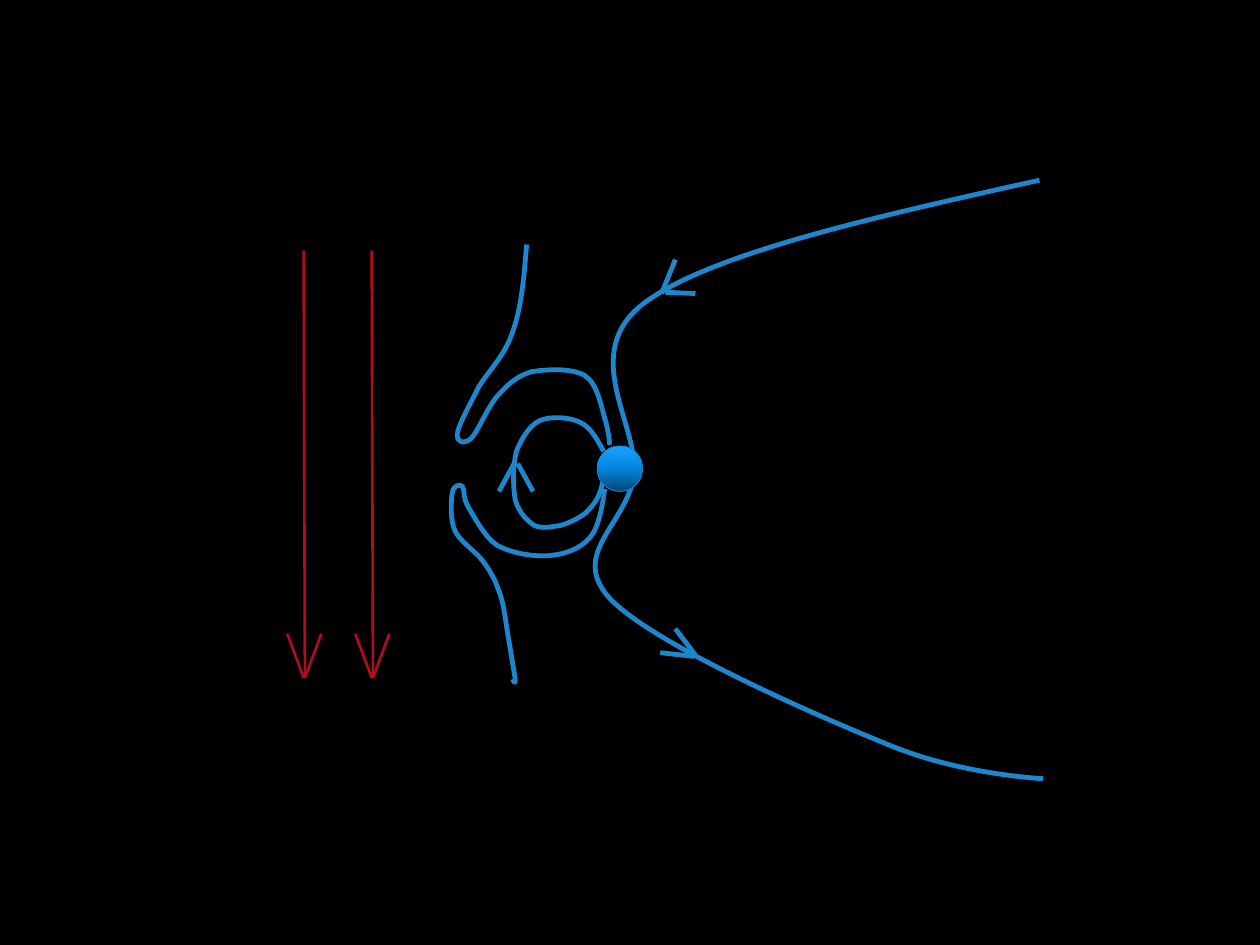
from copy import deepcopy

from lxml import etree
from pptx import Presentation
from pptx.dml.color import RGBColor
from pptx.enum import shapes
from pptx.oxml import ns
from pptx.util import Inches, Pt

BLUE, RED = "1D86CD", "B50B1B"


def color(hex_string):
    return RGBColor.from_string(hex_string)


def curve_points(points, steps=20):
    """Points along a chain of cubic curves: anchor, then control, control, anchor."""
    result = [points[0]]
    for i in range(0, len(points) - 1, 3):
        segment = points[i:i + 4]
        for n in range(1, steps + 1):
            t = n / steps
            weights = ((1 - t) ** 3, 3 * t * (1 - t) ** 2, 3 * t * t * (1 - t), t ** 3)
            result.append(tuple(sum(w * p[axis] for w, p in zip(weights, segment))
                                for axis in (0, 1)))
    return result


class Diagram:
    def __init__(self, prs, background):
        self.s = prs.slides.add_slide(prs.slide_layouts[6])
        self.s.background.fill.solid()
        self.s.background.fill.fore_color.rgb = color(background)

    def stroke(self, shape, line_color, width):
        shape.line.color.rgb = color(line_color)
        shape.line.width = Pt(width)

    def line(self, start, end, line_color=BLUE, width=2.75, parent=None):
        c = (parent or self.s).shapes.add_connector(
            shapes.MSO_CONNECTOR.STRAIGHT, *map(Inches, start + end))
        self.stroke(c, line_color, width)
        etree.SubElement(c._element.spPr, ns.qn("a:effectLst"))

    def group(self, lines, **style):
        g = self.s.shapes.add_group_shape()
        for start, end in lines:
            self.line(start, end, parent=g, **style)

    def curve(self, points):
        # The sampled outline fixes the frame; its path then becomes true curves
        outline = [(Inches(x), Inches(y)) for x, y in curve_points(points)]
        builder = self.s.shapes.build_freeform(*outline[0])
        builder.add_line_segments(outline[1:], close=False)
        sp = builder.convert_to_shape()
        path = sp._element.spPr.find(".//" + ns.qn("a:path"))
        for child in list(path):
            path.remove(child)
        for i, (x, y) in enumerate(points):
            if i == 0:
                command = etree.SubElement(path, ns.qn("a:moveTo"))
            elif i % 3 == 1:
                command = etree.SubElement(path, ns.qn("a:cubicBezTo"))
            etree.SubElement(command, ns.qn("a:pt"),
                             x=str(Inches(x) - sp.left), y=str(Inches(y) - sp.top))
        sp.fill.background()
        self.stroke(sp, BLUE, 2.75)
        sp.shadow.inherit = False

    def ball(self, left, top, size, stops, line_color):
        sp = self.s.shapes.add_shape(shapes.MSO_SHAPE.OVAL,
                                     *map(Inches, (left, top, size, size)))
        sp.fill.gradient()
        sp.fill.gradient_angle = 90
        stop_list = sp._element.spPr.find(".//" + ns.qn("a:gsLst"))
        stop_list.append(deepcopy(stop_list[0]))
        for stop, (position, hex_string) in zip(sp.fill.gradient_stops, stops):
            stop.position = position
            stop.color.rgb = color(hex_string)
        self.stroke(sp, line_color, 0.5)
        sp.shadow.inherit = False


TAIL = [(8.25, 1.43), (6.95, 1.72), (5.65, 2.01), (5.12, 2.4),
        (4.58, 2.8), (5.08, 3.38), (5.03, 3.77), (4.98, 4.16), (4.51, 4.39), (4.84, 4.75),
        (5.18, 5.11), (6.48, 5.68), (7.05, 5.91), (7.62, 6.15), (8.28, 6.18), (8.28, 6.18)]
CLOSED_LOOP = [(4.79, 3.58), (4.74, 3.49), (4.69, 3.39), (4.6, 3.35),
               (4.52, 3.31), (4.36, 3.3), (4.28, 3.34), (4.2, 3.38), (4.14, 3.48), (4.1, 3.58),
               (4.07, 3.69), (4.07, 3.87), (4.09, 3.97), (4.12, 4.07), (4.18, 4.13), (4.24, 4.17),
               (4.3, 4.2), (4.38, 4.18), (4.45, 4.17), (4.52, 4.15), (4.6, 4.11), (4.65, 4.07),
               (4.7, 4.02), (4.74, 3.97), (4.76, 3.91), (4.79, 3.84), (4.8, 3.7), (4.8, 3.7)]
UPPER_LINE = [(4.18, 1.94), (4.16, 2.19), (4.14, 2.44), (4.07, 2.63),
              (4.01, 2.82), (3.88, 2.94), (3.8, 3.07), (3.73, 3.21), (3.64, 3.37), (3.63, 3.44),
              (3.62, 3.51), (3.68, 3.53), (3.74, 3.48), (3.79, 3.43), (3.87, 3.23), (3.95, 3.14),
              (4.03, 3.05), (4.11, 2.98), (4.22, 2.95), (4.34, 2.93), (4.54, 2.92), (4.64, 2.98),
              (4.74, 3.04), (4.77, 3.22), (4.8, 3.32), (4.83, 3.41), (4.84, 3.53), (4.84, 3.53)]
LOWER_LINE = [(4.8, 3.88), (4.78, 4.03), (4.75, 4.19), (4.68, 4.27),
              (4.6, 4.36), (4.48, 4.4), (4.36, 4.41), (4.23, 4.42), (4.06, 4.39), (3.95, 4.33),
              (3.85, 4.27), (3.77, 4.11), (3.72, 4.03), (3.67, 3.95), (3.69, 3.88), (3.67, 3.86),
              (3.65, 3.84), (3.6, 3.85), (3.59, 3.91), (3.58, 3.97), (3.57, 4.12), (3.61, 4.21),
              (3.65, 4.3), (3.77, 4.37), (3.83, 4.45), (3.89, 4.53), (3.93, 4.6), (3.96, 4.69),
              (4, 4.79), (4.01, 4.91), (4.03, 5.03), (4.05, 5.15), (4.08, 5.33), (4.09, 5.39),
              (4.09, 5.45), (4.07, 5.39), (4.07, 5.39)]


def main():
    prs = Presentation()
    prs.slide_width, prs.slide_height = Inches(10), Inches(7.5)
    d = Diagram(prs, "000000")

    # Long field line swept back, with its two arrowheads
    d.group([((5.51, 5.21), (5.24, 5.18)), ((5.52, 5.2), (5.36, 4.99))])
    d.line((5.25, 2.33), (5.36, 2.06))
    d.line((5.28, 2.32), (5.52, 2.33))
    d.curve(TAIL)

    # Closed loop, the planet and the loop's arrowhead
    d.curve(CLOSED_LOOP)
    d.ball(4.74, 3.54, 0.36, [(0, "014573"), (0.5, "0285DD"), (1, "1AA3FF")], "1884CD")
    d.line((4.08, 3.68), (3.96, 3.9))
    d.line((4.11, 3.68), (4.23, 3.9))

    # Field lines on the facing side
    d.curve(UPPER_LINE)
    d.curve(LOWER_LINE)

    # Incoming field arrows
    for x in (2.95, 2.41):
        d.group([((x, 1.99), (x + 0.01, 5.38)),
                 ((x, 5.38), (x - 0.13, 5.03)),
                 ((x + 0.01, 5.38), (x + 0.14, 5.03))], line_color=RED, width=1.5)

    prs.save("out.pptx")


if __name__ == "__main__":
    main()
